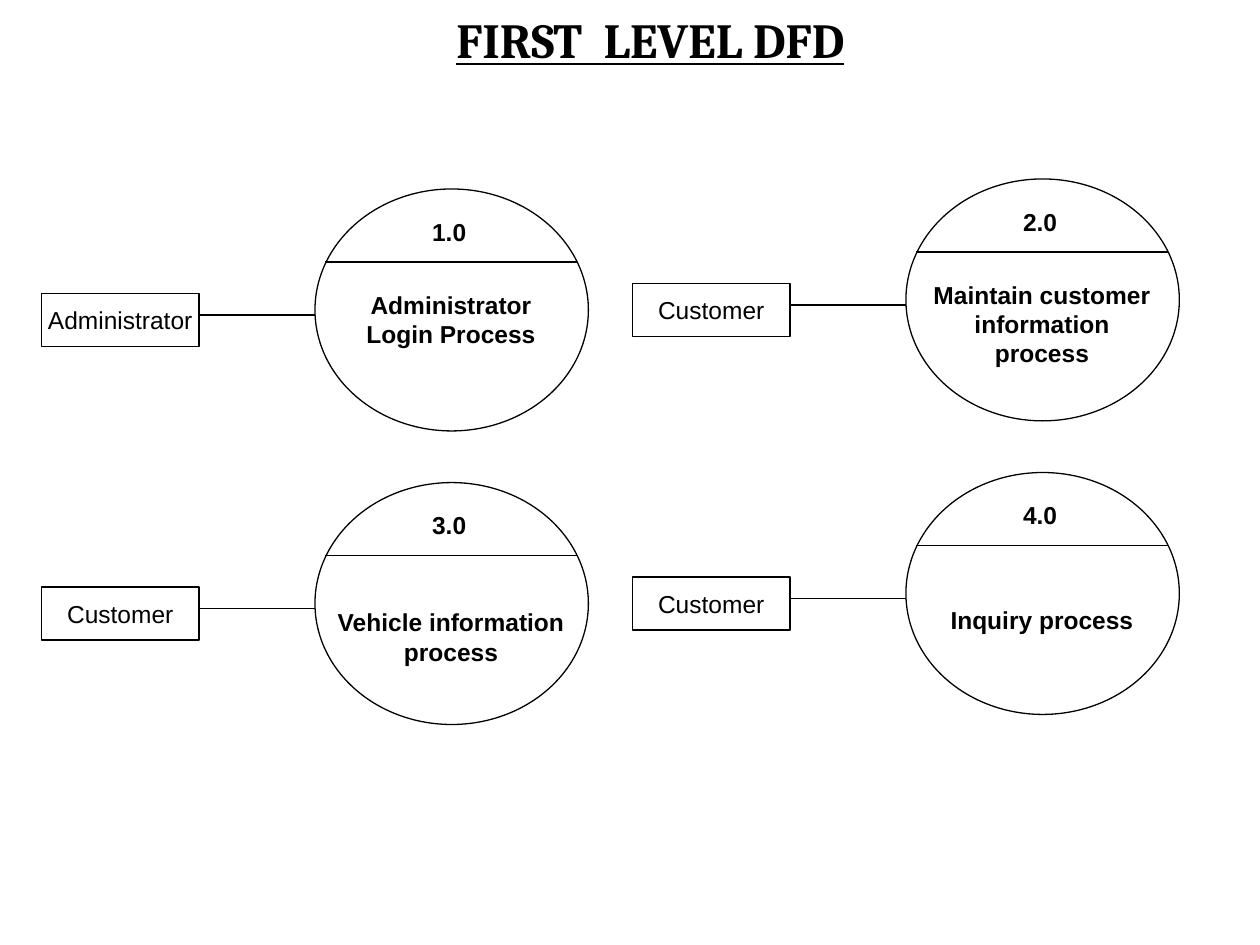
from dataclasses import dataclass

import pptx
import pptx.dml.color
import pptx.enum.shapes
import pptx.enum.text
import pptx.oxml
import pptx.oxml.ns
import pptx.util
from pptx.util import Inches

COLORS = {"ink": "000000", "paper": "FFFFFF"}
LABEL = {"name": "Arial", "size": pptx.util.Pt(14), "bold": False}
STRONG = {**LABEL, "bold": True}
HEADING = {"name": "Cambria", "size": pptx.util.Pt(28), "bold": True, "underline": True}
SHAPES = pptx.enum.shapes.MSO_SHAPE
ANCHOR = pptx.enum.text.MSO_ANCHOR

LEFT, COLUMN_STEP = 0.33, 4.69
TOP, ROW_STEP, RIGHT_RISE = 1.5, 2.33, 0.08


@dataclass
class Process:
    number: str
    name: str
    entity: str
    name_offset: float
    name_height: float


PROCESSES = [
    Process("1.0", "Administrator Login Process", "Administrator", 0.75, 0.57),
    Process("2.0", "Maintain customer information process", "Customer", 0.75, 0.8),
    Process("3.0", "Vehicle information process", "Customer", 0.94, 0.57),
    Process("4.0", "Inquiry process", "Customer", 1.0, 0.34),
]


def rgb(name: str) -> pptx.dml.color.RGBColor:
    return pptx.dml.color.RGBColor.from_string(COLORS[name])


def write(shape, text: str, style: dict, wrap: bool, anchor) -> None:
    frame = shape.text_frame
    frame.word_wrap = wrap
    frame.vertical_anchor = anchor
    para = frame.paragraphs[0]
    para.alignment = pptx.enum.text.PP_ALIGN.CENTER
    span = para.add_run()
    span.text = text
    for key, value in style.items():
        setattr(span.font, key, value)
    span.font.color.rgb = rgb("ink")


def add_text(page, text: str, x: float, y: float, width: float, height: float,
             style: dict, wrap: bool = False) -> None:
    box = page.shapes.add_textbox(Inches(x), Inches(y), Inches(width), Inches(height))
    write(box, text, style, wrap, ANCHOR.TOP)


def outline(line) -> None:
    line.color.rgb = rgb("ink")
    line.width = pptx.util.Pt(0.75)


def add_outlined(page, kind, x: float, y: float, width: float, height: float):
    shape = page.shapes.add_shape(kind, Inches(x), Inches(y), Inches(width), Inches(height))
    shape.shadow.inherit = False
    shape.fill.solid()
    shape.fill.fore_color.rgb = rgb("paper")
    outline(shape.line)
    return shape


def add_rule(page, x: float, y: float, width: float) -> None:
    rule = page.shapes.add_connector(
        pptx.enum.shapes.MSO_CONNECTOR.STRAIGHT,
        Inches(x), Inches(y), Inches(x + width), Inches(y))
    outline(rule.line)
    properties = rule._element.spPr
    properties.append(pptx.oxml.parse_xml(
        f"<a:effectLst {pptx.oxml.ns.nsdecls('a')}/>"))


def add_process(page, process: Process, x: float, y: float) -> None:
    add_outlined(page, SHAPES.OVAL, x + 2.17, y, 2.17, 1.92)
    add_rule(page, x + 2.25, y + 0.58, 2)
    add_text(page, process.number, x + 3, y + 0.17, 0.47, 0.34, STRONG)
    add_text(page, process.name, x + 2.25, y + process.name_offset,
             2, process.name_height, STRONG, wrap=True)
    entity = add_outlined(page, SHAPES.RECTANGLE, x, y + 0.83, 1.25, 0.42)
    write(entity, process.entity, LABEL, False, ANCHOR.MIDDLE)
    add_rule(page, x + 1.25, y + 1, 0.92)


def main() -> None:
    deck = pptx.Presentation()
    deck.slide_width, deck.slide_height = Inches(10), Inches(7.5)
    page = deck.slides.add_slide(deck.slide_layouts[6])
    add_text(page, "FIRST  LEVEL DFD", 3.27, 0.03, 3.78, 0.57, HEADING)
    for index, process in enumerate(PROCESSES):
        row, column = divmod(index, 2)
        add_process(page, process, LEFT + column * COLUMN_STEP,
                    TOP + row * ROW_STEP - column * RIGHT_RISE)
    deck.save("out.pptx")


if __name__ == "__main__":
    main()
